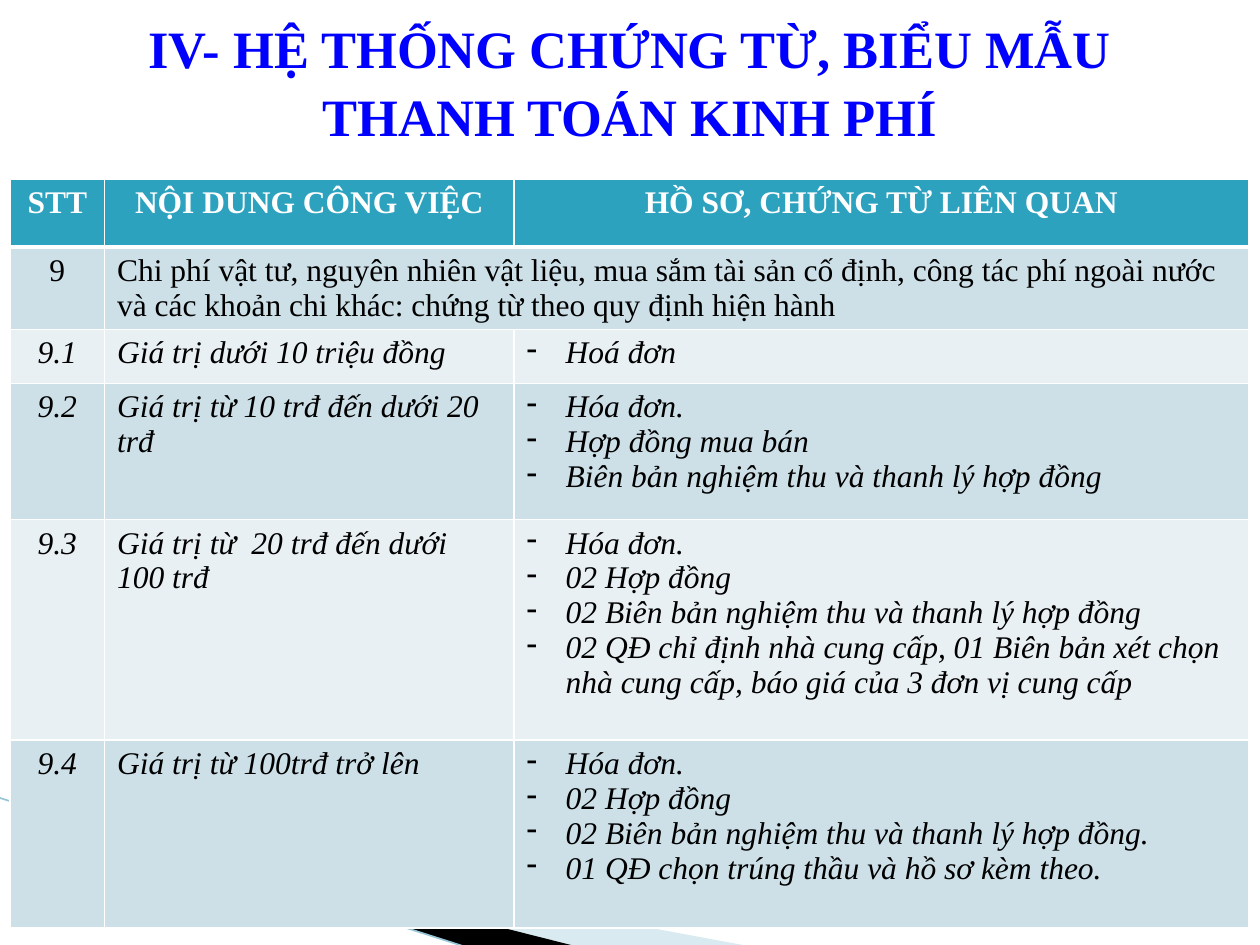
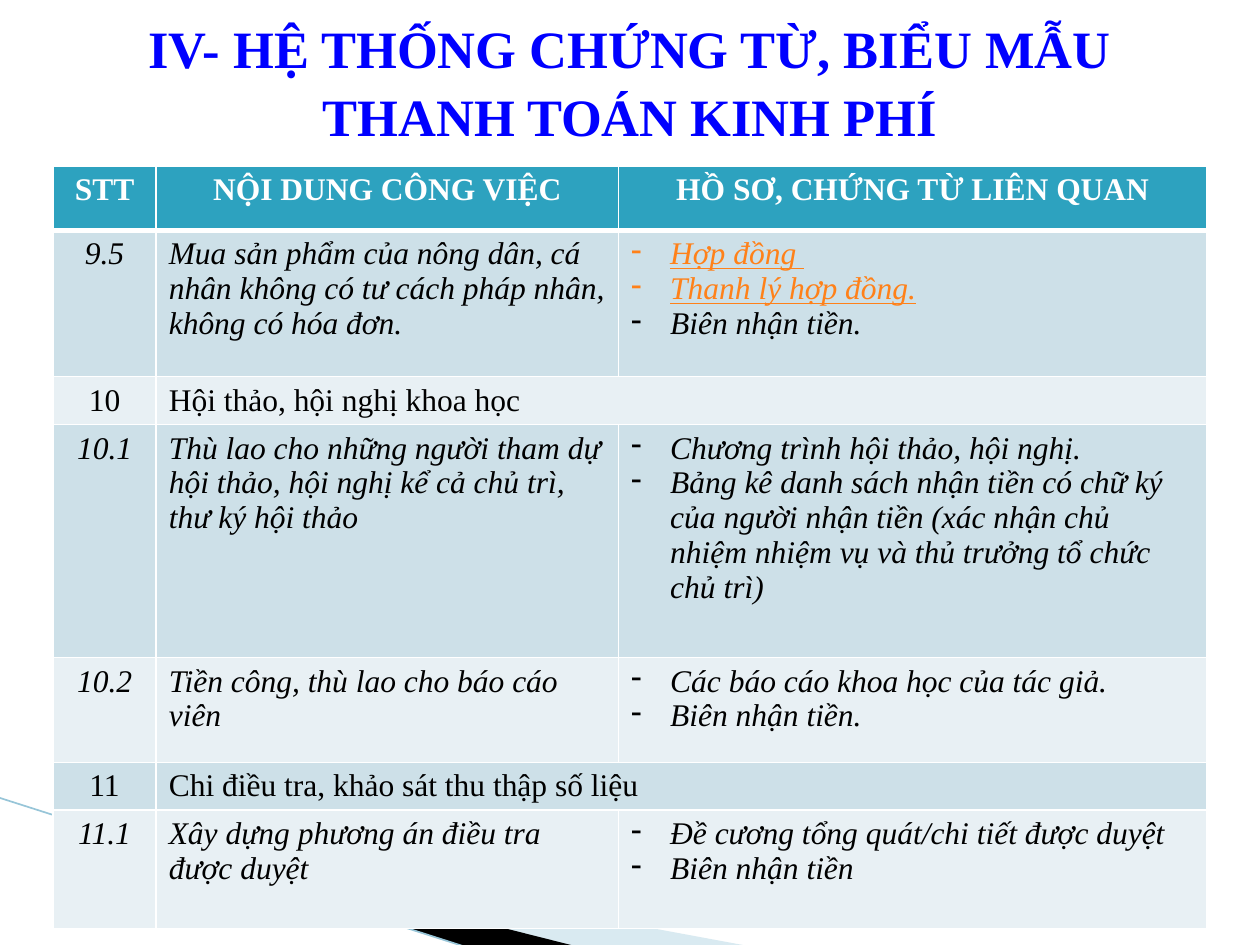
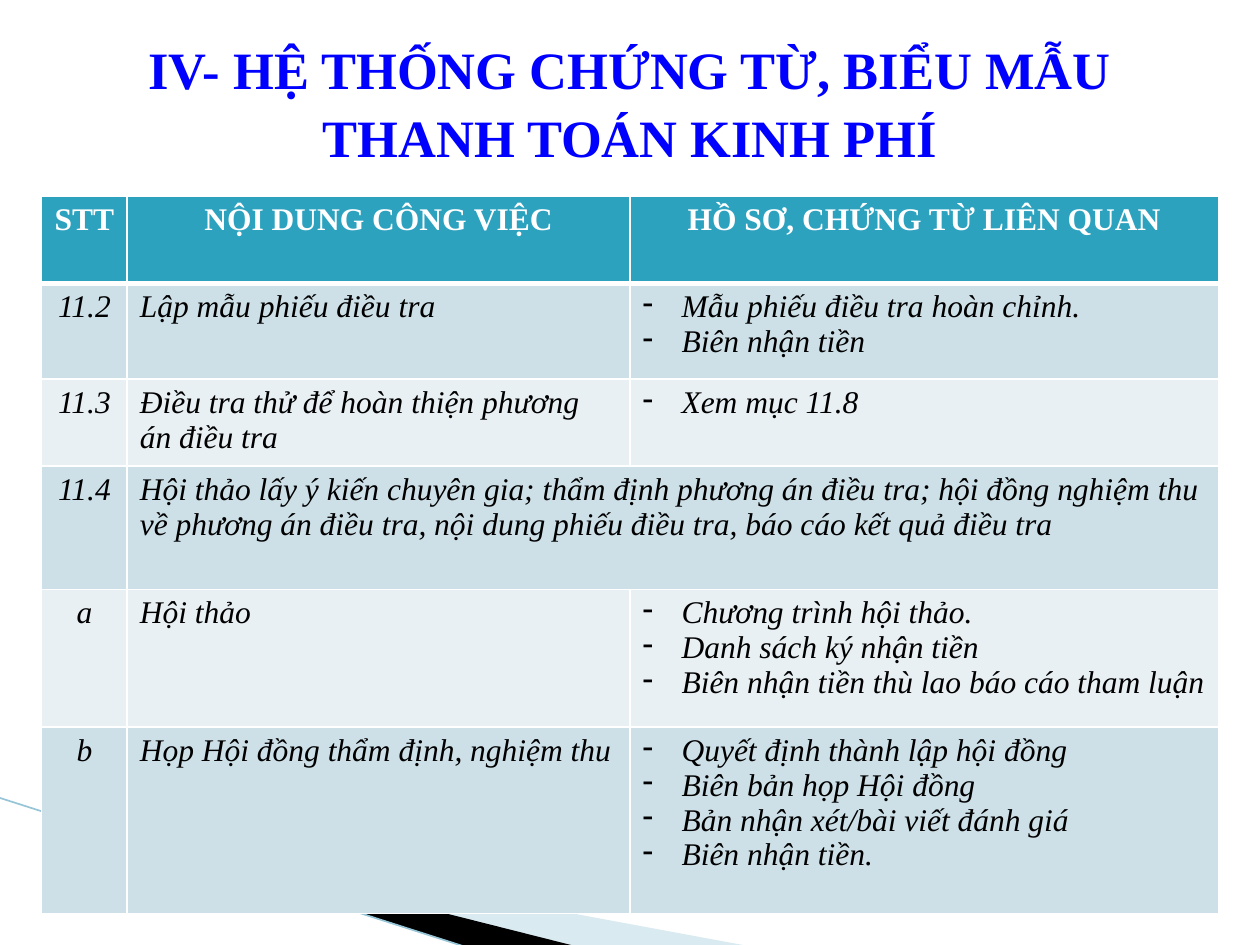
from lxml.etree import SubElement
from pptx import Presentation
from pptx.dml.color import RGBColor
from pptx.enum.shapes import MSO_CONNECTOR as Connector
from pptx.enum.text import MSO_ANCHOR as Anchor, MSO_AUTO_SIZE as AutoSize, PP_ALIGN as Align
from pptx.oxml.ns import qn
from pptx.util import Inches, Pt

# Shared look
FONT = "Times New Roman"
BLUE, TEAL, WHITE, BLACK = "0000FF", "2DA2BF", "FFFFFF", "000000"
ORANGE, PALE_BLUE, LINE_BLUE = "FF8119", "A0CBDC", "97C5D8"
BANDS = ("E8F0F4", "CDE0E8")
TITLE = "IV- HỆ THỐNG CHỨNG TỪ, BIỂU MẪU THANH TOÁN KINH PHÍ"
HEADINGS = ("STT", "NỘI DUNG CÔNG VIỆC", "HỒ SƠ, CHỨNG TỪ LIÊN QUAN")
HIGHLIGHTED = {"Hợp đồng ", "Thanh lý hợp đồng."}

# Each row: height, number, work, documents (none: the work spans both columns)
PURCHASES = [
    (0.65, "9", "Chi phí vật tư, nguyên nhiên vật liệu, mua sắm tài sản cố định, công tác phí "
     "ngoài nước và các khoản chi khác: chứng từ theo quy định hiện hành", []),
    (0.43, "9.1", "Giá trị dưới 10 triệu đồng", ["Hoá đơn"]),
    (1.08, "9.2", "Giá trị từ 10 trđ đến dưới 20 trđ",
     ["Hóa đơn.", "Hợp đồng mua bán", "Biên bản nghiệm thu và thanh lý hợp đồng"]),
    (1.75, "9.3", "Giá trị từ  20 trđ đến dưới 100 trđ",
     ["Hóa đơn.", "02 Hợp đồng", "02 Biên bản nghiệm thu và thanh lý hợp đồng",
      "02 QĐ chỉ định nhà cung cấp, 01 Biên bản xét chọn nhà cung cấp, "
      "báo giá của 3 đơn vị cung cấp"]),
    (1.49, "9.4", "Giá trị từ 100trđ trở lên",
     ["Hóa đơn.", "02 Hợp đồng", "02 Biên bản nghiệm thu và thanh lý hợp đồng.",
      "01 QĐ chọn trúng thầu và hồ sơ kèm theo."]),
]
WORKSHOPS = [
    (1.16, "9.5", "Mua sản phẩm của nông dân, cá nhân không có tư cách pháp nhân, "
     "không có hóa đơn.", ["Hợp đồng ", "Thanh lý hợp đồng.", "Biên nhận tiền."]),
    (0.38, "10", "Hội thảo, hội nghị khoa học", []),
    (1.85, "10.1", "Thù lao cho những người tham dự hội thảo, hội nghị kể cả chủ trì, "
     "thư ký hội thảo",
     ["Chương trình hội thảo, hội nghị.",
      "Bảng kê danh sách nhận tiền có chữ ký của người nhận tiền (xác nhận chủ nhiệm "
      "nhiệm vụ và thủ trưởng tổ chức chủ trì)"]),
    (0.83, "10.2", "Tiền công, thù lao cho báo cáo viên",
     ["Các báo cáo khoa học của tác giả.", "Biên nhận tiền."]),
    (0.38, "11", "Chi điều tra, khảo sát thu thập số liệu", []),
    (0.94, "11.1", "Xây dựng phương án điều tra được duyệt",
     ["Đề cương tổng quát/chi tiết được duyệt", "Biên nhận tiền"]),
]
SURVEYS = [
    (0.76, "11.2", "Lập mẫu phiếu điều tra",
     ["Mẫu phiếu điều tra hoàn chỉnh.", "Biên nhận tiền"]),
    (0.69, "11.3", "Điều tra thử để hoàn thiện phương án điều tra", ["Xem mục 11.8"]),
    (0.98, "11.4", "Hội thảo lấy ý kiến chuyên gia; thẩm định phương án điều tra; hội đồng "
     "nghiệm thu về phương án điều tra, nội dung phiếu điều tra, báo cáo kết quả điều tra", []),
    (1.09, "a", "Hội thảo", ["Chương trình hội thảo.", "Danh sách ký nhận tiền",
                             "Biên nhận tiền thù lao báo cáo tham luận"]),
    (1.48, "b", "Họp Hội đồng thẩm định, nghiệm thu",
     ["Quyết định thành lập hội đồng", "Biên bản họp Hội đồng",
      "Bản nhận xét/bài viết đánh giá", "Biên nhận tiền."]),
]

# Each slide: title top, table left and top, column widths, heading height, rows
PAGES = [
    (0, 0.08, 1.42, (0.75, 3.25, 5.83), 0.54, PURCHASES),
    (0, 0.42, 1.32, (0.82, 3.67, 4.67), 0.51, WORKSHOPS),
    (0.17, 0.33, 1.56, (0.68, 3.99, 4.67), 0.69, SURVEYS),
]


def color(value):
    return RGBColor.from_string(value)


def style_para(para, size, hue, bold=False, italic=False, align=Align.LEFT):
    para.alignment = align
    font = para.font
    font.name, font.size, font.bold, font.italic = FONT, Pt(size), bold, italic
    font.color.rgb = color(hue)


def add_wedge(page, points, hue, opacity=None):
    start, *others = [(Inches(x), Inches(y)) for x, y in points]
    builder = page.shapes.build_freeform(*start)
    builder.add_line_segments(others)
    wedge = builder.convert_to_shape()
    wedge.shadow.inherit = False
    wedge.fill.solid()
    wedge.fill.fore_color.rgb = color(hue)
    wedge.line.fill.background()
    if opacity:
        tint = wedge.element.spPr.find(".//" + qn("a:srgbClr"))
        SubElement(tint, qn("a:alpha"), val=str(opacity * 1000))
    return wedge


def add_corner(page, layout):
    """Draw the corner bands and move them to the layout all slides share."""
    pale = add_wedge(page, [(0.55, 6.51), (5.95, 7.51), (4.56, 7.51), (0.55, 6.5)],
                     PALE_BLUE, 40)
    dark = add_wedge(page, [(0.53, 6.49), (4.57, 7.51), (3.72, 7.52), (0.54, 6.5)], BLACK)
    edge = page.shapes.add_connector(Connector.STRAIGHT, Inches(-0.01), Inches(6.33),
                                     Inches(3.71), Inches(7.52))
    edge.line.color.rgb = color(LINE_BLUE)
    edge.line.width = Pt(0.95)
    SubElement(edge.element.spPr, qn("a:effectLst"))
    tree = layout.element.cSld.spTree
    for position, shape in enumerate((pale, dark, edge), start=2):
        tree.insert(position, shape.element)


def set_title(page, top):
    title = page.shapes.title
    title.left, title.top = Inches(0.5), Inches(top)
    title.width, title.height = Inches(9), Inches(1.25)
    frame = title.text_frame
    frame.text = TITLE
    frame.word_wrap = True
    frame.auto_size = AutoSize.NONE
    frame.vertical_anchor = Anchor.MIDDLE
    style_para(frame.paragraphs[0], 30, BLUE, bold=True, align=Align.CENTER)
    frame.paragraphs[0].line_spacing = 1.08


def style_cell(cell, row):
    """White borders, heavier under the heading, and the row's band colour."""
    props = cell._tc.get_or_add_tcPr()
    widths = {"L": 1, "R": 1, "T": 3 if row == 1 else 1, "B": 3 if row == 0 else 1}
    for side, width in widths.items():
        border = SubElement(props, qn("a:ln" + side), w=str(Pt(width)))
        SubElement(SubElement(border, qn("a:solidFill")), qn("a:srgbClr"), val=WHITE)
    cell.fill.solid()
    cell.fill.fore_color.rgb = color(BANDS[row % 2] if row else TEAL)


def write_cell(cell, text, hue=BLACK, **style):
    cell.text_frame.text = text
    style_para(cell.text_frame.paragraphs[0], 18, hue, **style)


def write_list(cell, items, italic):
    frame = cell.text_frame
    frame.text = "\n".join(items)
    for para, item in zip(frame.paragraphs, items):
        marked = item in HIGHLIGHTED
        style_para(para, 18, ORANGE if marked else BLACK, italic=italic)
        if marked:
            para.runs[0].font.underline = True
            para.runs[0].font.color.rgb = color(ORANGE)
        props = para._p.get_or_add_pPr()
        props.set("marL", str(Inches(0.31)))
        props.set("indent", str(Inches(-0.31)))
        # The bullet goes before the paragraph's default run properties
        bullet = SubElement(props, qn("a:buChar"), char="-")
        props.insert(0, bullet)


def add_cost_table(page, left, top, widths, heading_height, rows):
    heights = [heading_height] + [row[0] for row in rows]
    table = page.shapes.add_table(len(heights), len(widths), Inches(left), Inches(top),
                                  Inches(sum(widths)), Inches(sum(heights))).table
    for column, width in zip(table.columns, widths):
        column.width = Inches(width)
    for index, height in enumerate(heights):
        table.rows[index].height = Inches(height)
        for column in range(len(widths)):
            style_cell(table.cell(index, column), index)

    for column, heading in enumerate(HEADINGS):
        write_cell(table.cell(0, column), heading, WHITE, bold=True, align=Align.CENTER)
    for index, (_, number, work, documents) in enumerate(rows, start=1):
        italic = not number.isdigit()  # main items are upright
        write_cell(table.cell(index, 0), number, italic=italic, align=Align.CENTER)
        write_cell(table.cell(index, 1), work, italic=italic)
        if documents:
            write_list(table.cell(index, 2), documents, italic)
        else:
            table.cell(index, 1).merge(table.cell(index, 2))


def main():
    deck = Presentation()
    deck.slide_width, deck.slide_height = Inches(10), Inches(7.5)
    layout = deck.slide_layouts[5]  # title only
    for number, (title_top, *table_parts) in enumerate(PAGES):
        page = deck.slides.add_slide(layout)
        if number == 0:
            add_corner(page, layout)
        set_title(page, title_top)
        add_cost_table(page, *table_parts)
    deck.save("out.pptx")


main()
